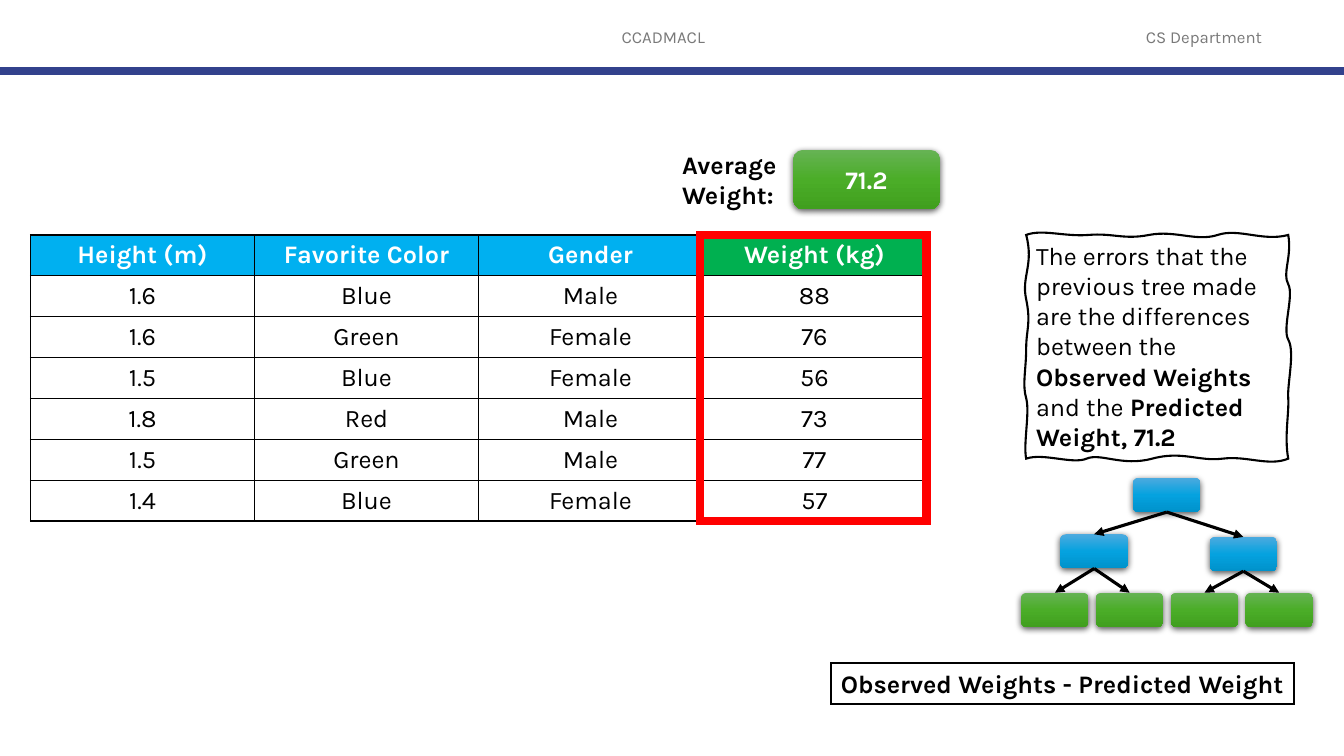
from copy import deepcopy

from lxml.etree import SubElement
from pptx import Presentation
from pptx.dml.color import RGBColor
from pptx.enum.shapes import MSO_CONNECTOR, MSO_SHAPE
from pptx.enum.text import MSO_ANCHOR as Anchor, PP_ALIGN as Align
from pptx.oxml.ns import qn
from pptx.util import Pt

FONT = "Karla"
BLACK = RGBColor(0x00, 0x00, 0x00)
WHITE = RGBColor(0xFF, 0xFF, 0xFF)
GRAY = RGBColor(0x79, 0x79, 0x79)
NAVY = RGBColor(0x32, 0x41, 0x8C)
RED = RGBColor(0xFF, 0x00, 0x00)
HEADER_BLUE = RGBColor(0x00, 0xB0, 0xF0)
HEADER_GREEN = RGBColor(0x00, 0xB0, 0x50)
BLUE_GRADIENT = ("4CAADF", "05A2DF", "0092CB")
GREEN_GRADIENT = ("66B354", "4BAD28", "409F1E")

# Boxes are (left, top, width, height) in points
PAGE_WIDTH, PAGE_HEIGHT = 960, 540
HEADERS = [("CCADMACL", (312, 12.2, 323.6, 28.8)), ("CS Department", (786.2, 12.2, 147.6, 28.8))]
RULE_TOP = 50.7
TABLE_BOX = (21.8, 167.8, 640, 204.4)
HIGHLIGHT_BOX = (500.2, 167.8, 161.6, 204.4)
FORMULA_BOX = (593.6, 473.8, 330.8, 28.8)
AVERAGE_BOX = (566.6, 107, 104.8, 42.5)
AVERAGE_LABEL_BOX = (480.2, 103, 93.6, 51.1)

ROWS = [
    ("Height (m)", "Favorite Color", "Gender", "Weight (kg)"),
    ("1.6", "Blue", "Male", "88"),
    ("1.6", "Green", "Female", "76"),
    ("1.5", "Blue", "Female", "56"),
    ("1.8", "Red", "Male", "73"),
    ("1.5", "Green", "Male", "77"),
    ("1.4", "Blue", "Female", "57"),
]
NOTE = [
    ("The errors that the previous tree made are the differences between the ", False),
    ("Observed Weights ", True),
    ("and the", False),
    (" Predicted Weight, 71.2", True),
]
# Each wave is two control points and an end point
NOTE_START = (733, 167.8)
NOTE_WAVES = [
    (744.5, 163.4, 760.3, 169.2, 777.6, 167.8), (794.9, 166.3, 802.8, 171.4, 820.8, 167.8),
    (839.5, 164.2, 854.6, 172.8, 869.8, 167.8), (884.9, 162.7, 902.2, 172.8, 920.2, 167.8),
    (923, 183.6, 915.8, 195.1, 920.2, 203), (924.5, 211, 915.8, 234.7, 920.2, 242.6),
    (925.2, 251.3, 919.4, 274.3, 920.2, 284.4), (920.9, 295.2, 917.3, 311.8, 920.2, 327.6),
    (906.5, 333.4, 890.6, 325.4, 873.4, 327.6), (856.1, 329.8, 844.6, 321.8, 823, 327.6),
    (801.4, 333.4, 786.2, 323.3, 776.2, 327.6), (766.1, 331.9, 745.2, 323.3, 733, 327.6),
    (730.8, 316.8, 735.8, 294.5, 733, 284.4), (730.1, 275, 733, 263.5, 733, 249.1),
    (733, 235.4, 736.6, 231.1, 733, 213.8), (729.4, 197.3, 738.7, 189.4, 733, 167.8),
]

NODE_WIDTH, NODE_HEIGHT = 48.3, 24.5
LEAF_LEFT, LEAF_TOP, LEAF_STEP = 729.4, 423.4, 53.4
BRANCHES = {"root": (809.3, 341.3), "left": (757.4, 381.6), "right": (864, 383.5)}
LEAVES = {f"leaf {i}": (LEAF_LEFT + i * LEAF_STEP, LEAF_TOP) for i in range(4)}
EDGES = [("root", "left"), ("root", "right"), ("left", "leaf 0"), ("left", "leaf 1"),
         ("right", "leaf 2"), ("right", "leaf 3")]


def points(values):
    return [Pt(value) for value in values]


def write(frame, runs, align=Align.LEFT, anchor=Anchor.TOP, size=18, color=BLACK):
    """Fill a text frame or table cell with (text, bold) runs."""
    frame.vertical_anchor = anchor
    frame.word_wrap = True
    paragraph = getattr(frame, "text_frame", frame).paragraphs[0]
    paragraph.alignment = align
    for text, bold in runs:
        run = paragraph.add_run()
        run.text = text
        for name, value in {"name": FONT, "size": Pt(size), "bold": bold}.items():
            setattr(run.font, name, value)
        run.font.color.rgb = color


def outline(shape, color, width):
    """Leave the shape unfilled, with a square-cornered line."""
    shape.shadow.inherit = False
    shape.fill.background()
    shape.line.color.rgb = color
    shape.line.width = Pt(width)
    SubElement(shape.line._get_or_add_ln(), qn("a:miter"), lim="800000")
    return shape


def add_line(shapes, start, end, color, width):
    line = shapes.add_connector(MSO_CONNECTOR.STRAIGHT, *points(start + end))
    line.line.color.rgb = color
    line.line.width = Pt(width)
    SubElement(line._element.spPr, qn("a:effectLst"))
    return line


def add_glossy_box(shapes, box, gradient):
    """Rounded box with a three-stop vertical gradient and a soft shadow."""
    shape = shapes.add_shape(MSO_SHAPE.ROUNDED_RECTANGLE, *points(box))
    shape.line.fill.background()
    shape.fill.gradient()
    shape.fill.gradient_angle = 270
    properties = shape._element.spPr
    stops = properties.find(qn("a:gradFill")).find(qn("a:gsLst"))
    stops.insert(1, deepcopy(stops[0]))
    for stop, position, color in zip(shape.fill.gradient_stops, (0, 0.5, 1), gradient):
        stop.position = position
        stop.color.rgb = RGBColor.from_string(color)
    shape.shadow.inherit = False
    shadow = SubElement(properties.find(qn("a:effectLst")), qn("a:outerShdw"), blurRad=str(Pt(4.5)),
                        dist=str(Pt(1.5)), dir="5400000", algn="ctr", rotWithShape="0")
    shade = SubElement(shadow, qn("a:srgbClr"), val="000000")
    SubElement(shade, qn("a:alpha"), val="63000")
    return shape


def add_weight_table(shapes):
    table = shapes.add_table(len(ROWS), len(ROWS[0]), *points(TABLE_BOX)).table
    for r, row in enumerate(ROWS):
        for c, text in enumerate(row):
            cell = table.cell(r, c)
            properties = cell._tc.get_or_add_tcPr()
            for side in ("lnL", "lnR", "lnT", "lnB"):
                border = SubElement(properties, qn(f"a:{side}"), w=str(Pt(1)))
                fill = SubElement(border, qn("a:solidFill"))
                SubElement(fill, qn("a:srgbClr"), val=str(BLACK))
            if r == 0:
                cell.fill.solid()
                cell.fill.fore_color.rgb = HEADER_GREEN if c == len(row) - 1 else HEADER_BLUE
            else:
                cell.fill.background()
            write(cell, [(text, r == 0)], Align.CENTER, Anchor.MIDDLE, color=BLACK if r else WHITE)


def add_note(shapes):
    """Draw the wavy box: straight sides first, then each bent into a curve."""
    builder = shapes.build_freeform(*points(NOTE_START))
    builder.add_line_segments([points(wave[4:]) for wave in NOTE_WAVES], close=True)
    note = outline(builder.convert_to_shape(), BLACK, 1.5)
    sides = list(note._element.spPr.iter(qn("a:lnTo")))
    for side, wave in zip(sides, NOTE_WAVES):
        side.tag = qn("a:cubicBezTo")
        side.remove(side[0])
        for x, y in zip(wave[::2], wave[1::2]):
            SubElement(side, qn("a:pt"), x=str(Pt(x) - note.left), y=str(Pt(y) - note.top))
    write(note.text_frame, NOTE)


def add_tree(shapes):
    nodes = {}
    for places, gradient in ((BRANCHES, BLUE_GRADIENT), (LEAVES, GREEN_GRADIENT)):
        for name, place in places.items():
            nodes[name] = add_glossy_box(shapes, place + (NODE_WIDTH, NODE_HEIGHT), gradient)
    for parent, child in EDGES:
        arrow = add_line(shapes, (0, 0), (0, 0), BLACK, 2.25)
        arrow.begin_connect(nodes[parent], 2)
        arrow.end_connect(nodes[child], 0)
        SubElement(arrow.line._get_or_add_ln(), qn("a:tailEnd"), type="triangle")


def main():
    presentation = Presentation()
    presentation.slide_width, presentation.slide_height = points((PAGE_WIDTH, PAGE_HEIGHT))
    slide = presentation.slides.add_slide(presentation.slide_layouts[6])
    shapes = slide.shapes

    for text, box in HEADERS:
        header = shapes.add_textbox(*points(box))
        write(header.text_frame, [(text, False)], Align.CENTER, Anchor.MIDDLE, 12, GRAY)
    add_line(shapes, (0, RULE_TOP), (PAGE_WIDTH, RULE_TOP), NAVY, 6)

    add_weight_table(shapes)
    add_note(shapes)
    add_tree(shapes)

    formula = outline(shapes.add_shape(MSO_SHAPE.RECTANGLE, *points(FORMULA_BOX)), BLACK, 1.5)
    write(formula.text_frame, [("Observed Weights - Predicted Weight", True)])
    outline(shapes.add_shape(MSO_SHAPE.RECTANGLE, *points(HIGHLIGHT_BOX)), RED, 6)

    average = add_glossy_box(shapes, AVERAGE_BOX, GREEN_GRADIENT)
    write(average.text_frame, [("71.2", True)], Align.CENTER, Anchor.MIDDLE, color=WHITE)
    label = shapes.add_textbox(*points(AVERAGE_LABEL_BOX))
    write(label.text_frame, [("Average Weight:", True)])

    presentation.save("out.pptx")


if __name__ == "__main__":
    main()
